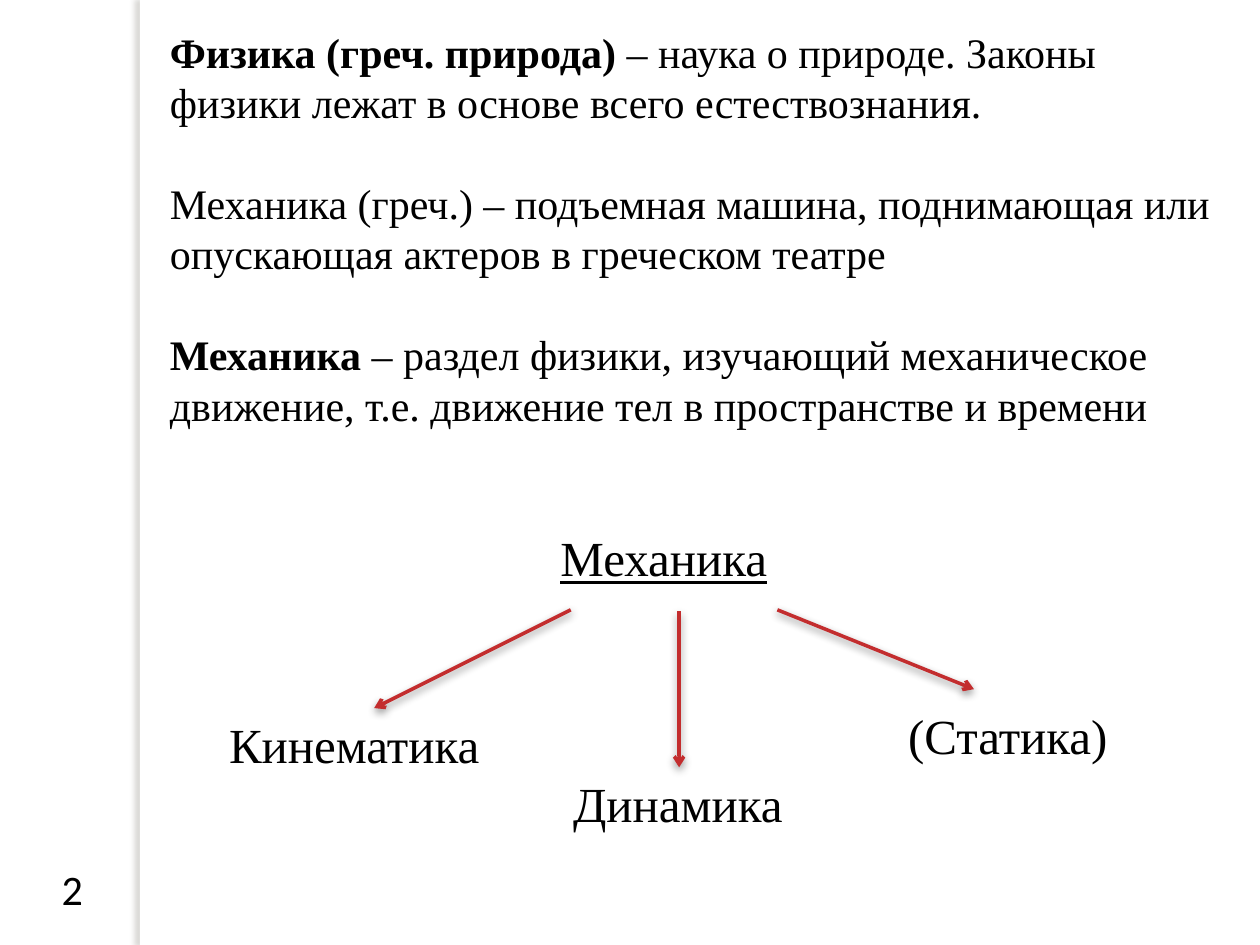
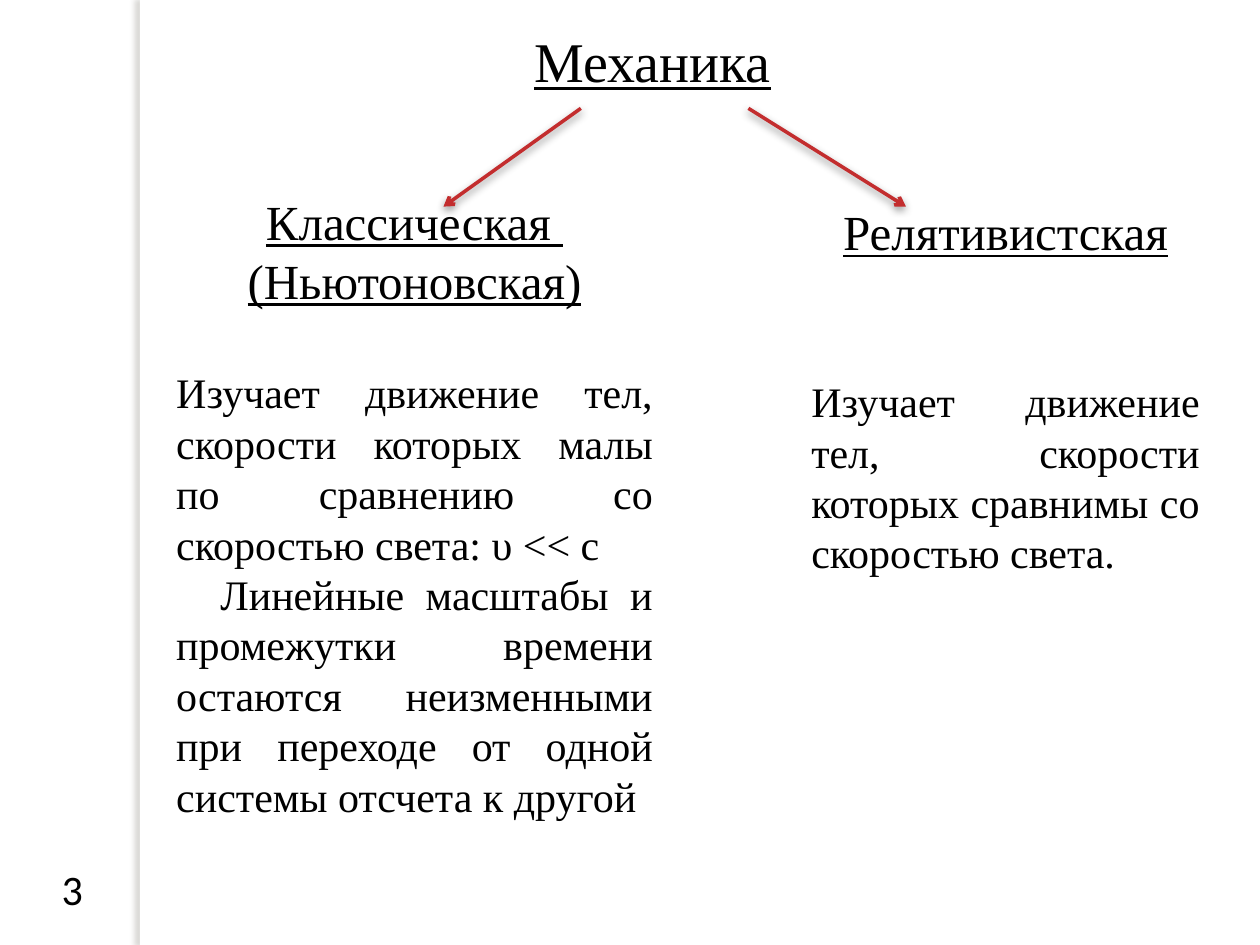
from lxml import etree
from pptx import Presentation
from pptx.dml.color import RGBColor
from pptx.enum.shapes import MSO_CONNECTOR, MSO_SHAPE
from pptx.enum.text import MSO_AUTO_SIZE, PP_ALIGN
from pptx.oxml.ns import qn
from pptx.util import Inches, Pt

WHITE = RGBColor(0xFF, 0xFF, 0xFF)
BLACK = RGBColor(0x00, 0x00, 0x00)
RED = RGBColor(0xC3, 0x2D, 0x2E)
BAND_SHADE = RGBColor(0x73, 0x6F, 0x63)

STRAIGHT = MSO_CONNECTOR.STRAIGHT
RECTANGLE = MSO_SHAPE.RECTANGLE
GROW = MSO_AUTO_SIZE.SHAPE_TO_FIT_TEXT
LEFT, CENTER, JUSTIFY = PP_ALIGN.LEFT, PP_ALIGN.CENTER, PP_ALIGN.JUSTIFY

SERIF = "Times New Roman"
SANS = "Calibri"
BODY, HEADING, TITLE = 24, 28, 32
BODY_GAP, HEADING_GAP = 28.8, 33


def cast_shadow(properties, color, opacity, blur, distance, angle):
    for effects in properties.findall(qn("a:effectLst")):
        properties.remove(effects)
    effects = etree.SubElement(properties, qn("a:effectLst"))
    shadow = etree.SubElement(
        effects, qn("a:outerShdw"), blurRad=str(Pt(blur)), dist=str(Pt(distance)),
        dir=str(angle * 60000), algn="tl", rotWithShape="0")
    shade = etree.SubElement(shadow, qn("a:srgbClr"), val=str(color))
    etree.SubElement(shade, qn("a:alpha"), val=str(opacity * 1000))


def add_box(slide, left, top, width, height, wrap=True):
    box = slide.shapes.add_textbox(
        Inches(left), Inches(top), Inches(width), Inches(height))
    box.text_frame.word_wrap = wrap
    box.text_frame.auto_size = GROW
    return box


def add_span(para, text, size=BODY, font=SERIF, bold=False, underline=False):
    span = para.add_run()
    span.text = text
    span.font.size = Pt(size)
    span.font.name = font
    span.font.bold = bold
    span.font.underline = underline
    span.font.color.rgb = BLACK


def add_para(box, align=LEFT, gap=0, indent=0):
    frame = box.text_frame
    para = frame.paragraphs[0] if not frame.text else frame.add_paragraph()
    para.alignment = align
    para.space_before = Pt(gap)
    if indent:
        para._p.get_or_add_pPr().set("indent", str(Inches(indent)))
    return para


def add_label(slide, text, left, top, width, height=0.57, size=HEADING, **style):
    box = add_box(slide, left, top, width, height, wrap=False)
    add_span(add_para(box), text, size=size, **style)


def add_arrow(slide, start, end):
    arrow = slide.shapes.add_connector(
        STRAIGHT, *(Inches(value) for value in (*start, *end)))
    arrow.line.color.rgb = RED
    arrow.line.width = Pt(2)
    properties = arrow._element.spPr
    etree.SubElement(properties.find(qn("a:ln")), qn("a:tailEnd"), type="arrow")
    cast_shadow(properties, BLACK, 43, 5, 2, 90)


def add_page(deck, number):
    slide = deck.slides.add_slide(deck.slide_layouts[6])
    slide.background.fill.solid()
    slide.background.fill.fore_color.rgb = WHITE
    band = slide.shapes.add_shape(
        RECTANGLE, Inches(1.11), 0, Inches(0.08), deck.slide_height)
    band.fill.solid()
    band.fill.fore_color.rgb = WHITE
    band.line.fill.background()
    cast_shadow(band._element.spPr, BAND_SHADE, 25, 3, 3, 180)
    add_label(slide, str(number), 0.39, 6.8, 0.36, 0.51, size=BODY, font=SANS)
    return slide


def add_definitions(slide):
    definitions = (
        ("Физика (греч. природа) ",
         "– наука о природе. Законы физики лежат в основе всего естествознания."),
        ("", "Механика (греч.) – подъемная машина, поднимающая или опускающая "
             "актеров в греческом театре"),
        ("Механика ",
         "– раздел физики, изучающий механическое движение, "
         "т.е. движение тел в пространстве и времени"),
    )
    box = add_box(slide, 1.25, 0.16, 8.6, 3.74)
    for index, (term, meaning) in enumerate(definitions):
        para = add_para(box, gap=BODY_GAP if index else 0)
        if term:
            add_span(para, term, bold=True)
        add_span(para, meaning)


def add_branch(slide, place, headings, texts, gap):
    box = add_box(slide, *place)
    for heading in headings:
        add_span(add_para(box, CENTER), heading, size=HEADING, underline=True)
    for index, text in enumerate(texts):
        para = add_para(box, JUSTIFY, gap=0 if index else gap,
                        indent=0.35 if index else 0)
        add_span(para, text)


def build_definitions_page(deck):
    slide = add_page(deck, 2)
    add_definitions(slide)
    add_label(slide, "Механика", 4.35, 4.14, 1.9, underline=True)
    branches = (
        ("Кинематика", (1.72, 5.62, 2.26), (4.53, 4.84), (2.97, 5.62)),
        ("Динамика", (4.45, 6.09, 1.95), (5.39, 4.85), (5.39, 6.09)),
        ("(Статика)", (7.11, 5.55, 1.8), (6.17, 4.84), (7.73, 5.47)),
    )
    for name, place, start, end in branches:
        add_arrow(slide, start, end)
        add_label(slide, name, *place)


def build_branches_page(deck):
    slide = add_page(deck, 3)
    add_label(slide, "Механика", 4.14, 0.16, 2.1, 0.64, size=TITLE, underline=True)
    add_arrow(slide, (4.61, 0.86), (3.52, 1.64))
    add_arrow(slide, (5.94, 0.86), (7.19, 1.64))
    add_branch(
        slide, (1.3, 1.47, 3.98, 5.1), ("Классическая ", "(Ньютоновская)"),
        ("Изучает движение тел, скорости которых малы по сравнению "
         "со скоростью света: υ << c",
         "Линейные масштабы и промежутки времени остаются неизменными "
         "при переходе от одной системы отсчета к другой"),
        HEADING_GAP)
    add_branch(
        slide, (6.34, 1.55, 3.28, 3.1), ("Релятивистская",),
        ("Изучает движение тел, скорости которых сравнимы со скоростью света.",),
        2 * HEADING_GAP)


def main():
    deck = Presentation()
    deck.slide_width, deck.slide_height = Inches(10), Inches(7.5)
    build_definitions_page(deck)
    build_branches_page(deck)
    deck.save("out.pptx")


if __name__ == "__main__":
    main()
